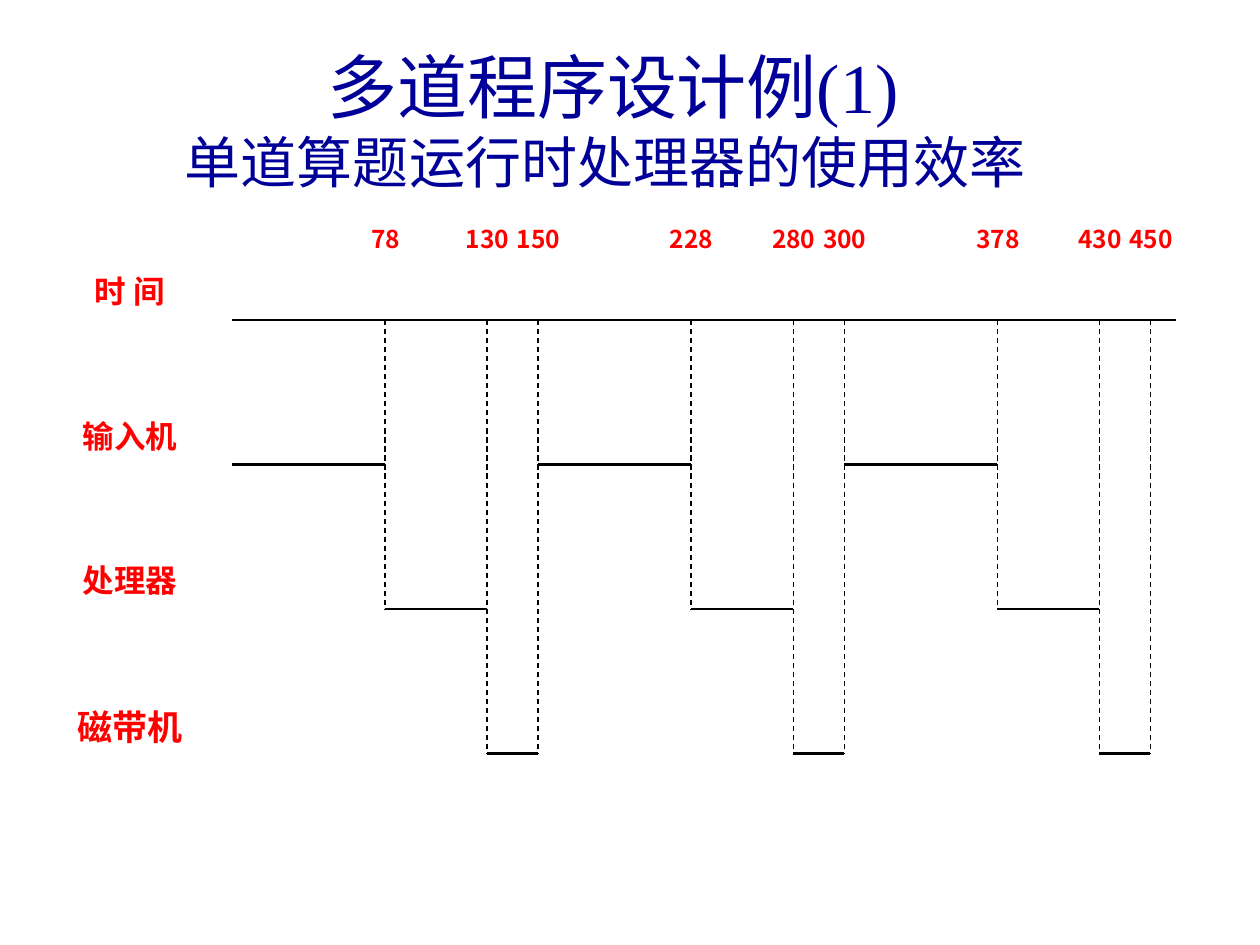
from pptx import Presentation
from pptx.dml.color import RGBColor
from pptx.enum.dml import MSO_LINE
from pptx.enum.shapes import MSO_CONNECTOR
from pptx.enum.text import PP_ALIGN
from pptx.oxml.ns import qn
from pptx.util import Inches, Pt
from lxml import etree

COLORS = {"title": "000099", "label": "FF0000", "line": "000000"}

prs = Presentation()
prs.slide_width, prs.slide_height = Inches(10), Inches(7.5)
slide = prs.slides.add_slide(prs.slide_layouts[6])


def add_label(text, left, top, width, size):
    frame = slide.shapes.add_textbox(
        Inches(left), Inches(top), Inches(width), Inches(0.76)).text_frame
    frame.word_wrap = True
    frame.margin_left = frame.margin_right = 0
    frame.margin_top = frame.margin_bottom = 0
    label = frame.paragraphs[0]
    label.text = text
    label.alignment = PP_ALIGN.CENTER
    label.font.name = "Noto Sans CJK SC"
    label.font.size = Pt(size)
    label.font.bold = True
    label.font.color.rgb = RGBColor.from_string(COLORS["label"])


def add_line(x1, y1, x2, y2, dashed=False):
    line = slide.shapes.add_connector(
        MSO_CONNECTOR.STRAIGHT, Inches(x1), Inches(y1), Inches(x2), Inches(y2))
    line.line.color.rgb = RGBColor.from_string(COLORS["line"])
    line.line.width = Pt(0.75 if dashed else 1.5)
    if dashed:
        line.line.dash_style = MSO_LINE.DASH
    etree.SubElement(line._element.spPr, qn("a:effectLst"))


# Title: the first line is indented over the second
title = slide.shapes.add_textbox(
    Inches(1.37), Inches(0.3), Inches(8.67), Inches(1.42)).text_frame
title.word_wrap = True
title_lines = [("多道程序设计例(1)", 40, 1.13),
               ("单道算题运行时处理器的使用效率", 32, 0)]
for i, (text, size, indent) in enumerate(title_lines):
    heading = title.add_paragraph() if i else title.paragraphs[0]
    heading.text = text
    heading._p.get_or_add_pPr().set("marL", str(Inches(indent)))
    heading.font.name = "Times New Roman"
    heading.font.size = Pt(size)
    heading.font.color.rgb = RGBColor.from_string(COLORS["title"])

# Row labels, each centred just above its row's line
AXIS_Y, ROW_GAP = 2.54, 1.147
rows = [("时 间", 18), ("输入机", 18), ("处理器", 18), ("磁带机", 20)]
for i, (text, size) in enumerate(rows):
    add_label(text, 0.42, AXIS_Y - 0.38 + i * ROW_GAP, 1.22, size)
input_y, cpu_y, tape_y = [AXIS_Y + i * ROW_GAP for i in (1, 2, 3)]

# Time axis
START_X, UNIT = 1.84, 0.405
add_line(START_X, AXIS_Y, 9.33, AXIS_Y)

# Each job reads for 78, computes for 52 and writes tape for 20
for job in range(3):
    job_x = START_X + job * 6 * UNIT
    phase_x = job_x
    for end, units, row_y, drop_y in [(78, 3, input_y, cpu_y),
                                      (130, 5, cpu_y, tape_y),
                                      (150, 6, tape_y, tape_y)]:
        end_x = job_x + units * UNIT
        add_line(phase_x, row_y, end_x, row_y)
        add_line(end_x, AXIS_Y, end_x, drop_y, dashed=True)
        add_label(str(job * 150 + end), end_x - 0.2, 1.78, 0.41, 14)
        phase_x = end_x

prs.save("out.pptx")
